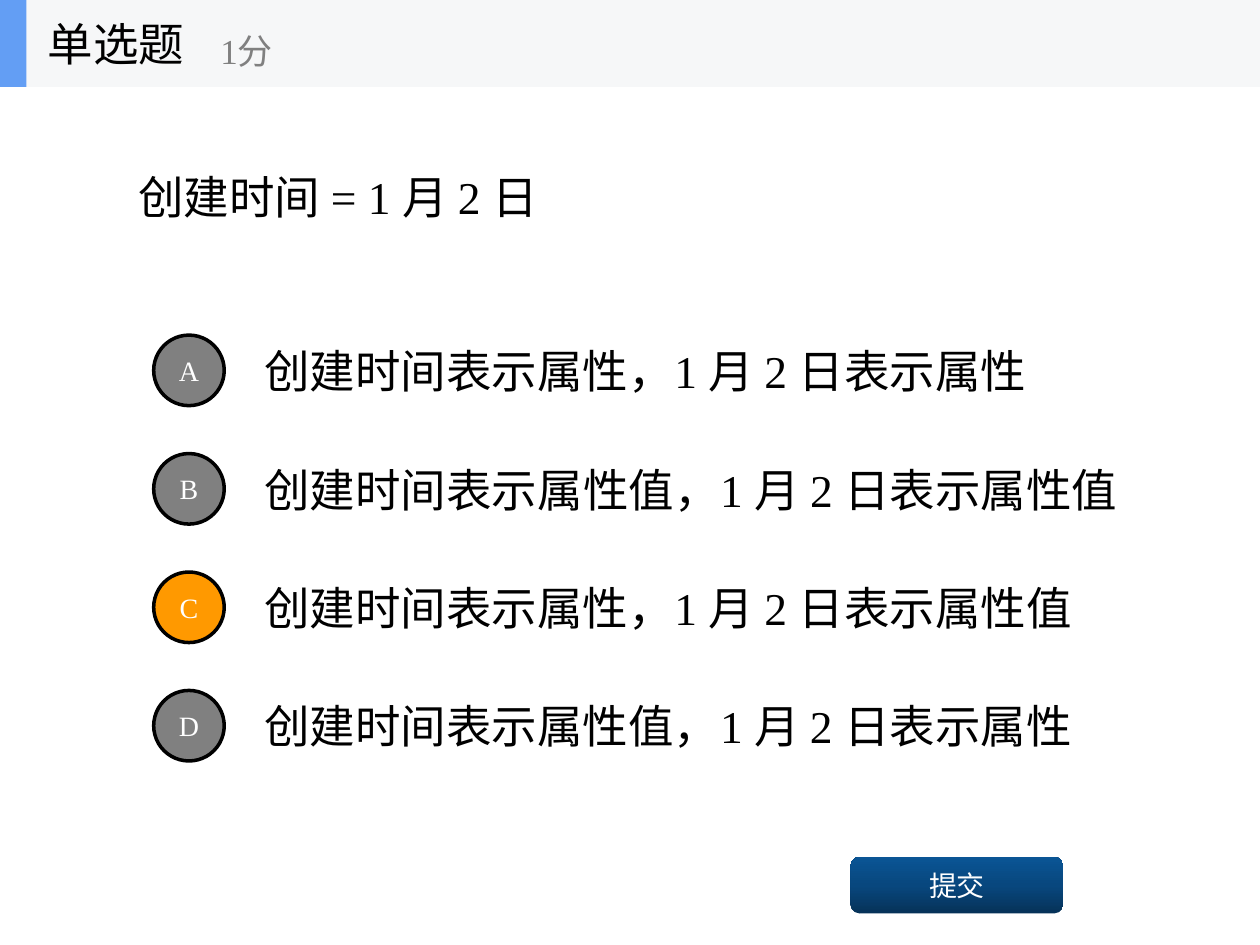
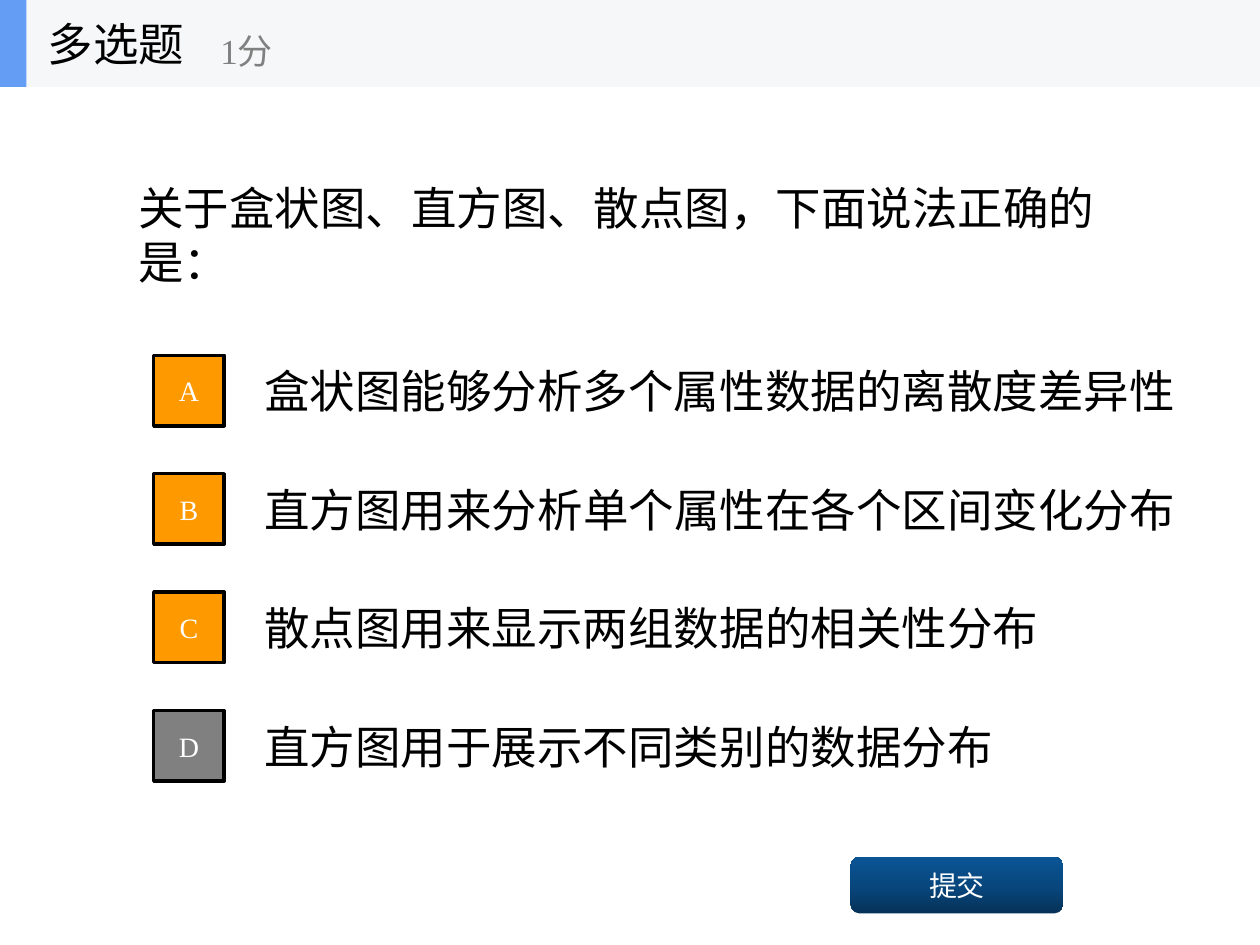
from copy import deepcopy
from dataclasses import dataclass

from pptx import Presentation
from pptx.dml.color import RGBColor
from pptx.enum.shapes import MSO_SHAPE
from pptx.enum.text import MSO_ANCHOR, MSO_AUTO_SIZE, PP_ALIGN
from pptx.oxml.ns import qn
from pptx.util import Inches, Pt


@dataclass(frozen=True)
class Theme:
    font: str = "Times New Roman"
    text: str = "000000"
    light_text: str = "FFFFFF"
    muted: str = "808080"
    correct: str = "FF9900"
    band: str = "F6F7F8"
    accent: str = "639EF4"
    button: tuple = ("063258", "08477E", "0A5595")
    body_size: int = 26
    score_size: int = 20
    label_size: int = 16


@dataclass(frozen=True)
class Question:
    kind: str
    score: str
    prompt: str
    prompt_height: float
    options: tuple
    option_widths: tuple
    options_top: float
    correct: str
    marker: MSO_SHAPE


THEME = Theme()
SLIDE_WIDTH, SLIDE_HEIGHT = 10, 7.5
HEADER_HEIGHT = 0.69
OPTION_HEIGHT = 0.7
OPTION_PITCH = 0.94
MARKER_SIZE = 0.56

QUESTIONS = (
    Question(
        kind="单选题",
        score="1分",
        prompt="创建时间 = 1 月 2 日",
        prompt_height=1.73,
        options=(
            "创建时间表示属性，1 月 2 日表示属性",
            "创建时间表示属性值，1 月 2 日表示属性值",
            "创建时间表示属性，1 月 2 日表示属性值",
            "创建时间表示属性值，1 月 2 日表示属性",
        ),
        option_widths=(7, 7.25, 7, 7),
        options_top=2.59,
        correct="C",
        marker=MSO_SHAPE.OVAL,
    ),
    Question(
        kind="多选题",
        score="1分",
        prompt="关于盒状图、直方图、散点图，下面说法正确的是：",
        prompt_height=2.34,
        options=(
            "盒状图能够分析多个属性数据的离散度差异性",
            "直方图用来分析单个属性在各个区间变化分布",
            "散点图用来显示两组数据的相关性分布",
            "直方图用于展示不同类别的数据分布",
        ),
        option_widths=(7.57, 7.49, 7, 7),
        options_top=2.75,
        correct="ABC",
        marker=MSO_SHAPE.RECTANGLE,
    ),
)


def write_text(shape, text, size, color, alignment=PP_ALIGN.LEFT):
    frame = shape.text_frame
    frame.text = text
    frame.word_wrap = True
    frame.auto_size = MSO_AUTO_SIZE.NONE
    frame.vertical_anchor = MSO_ANCHOR.MIDDLE
    paragraph = frame.paragraphs[0]
    paragraph.alignment = alignment
    paragraph.font.name = THEME.font
    paragraph.font.size = Pt(size)
    paragraph.font.color.rgb = RGBColor.from_string(color)


def add_text(slide, box, text, size=THEME.body_size, color=THEME.text):
    shape = slide.shapes.add_textbox(*map(Inches, box))
    write_text(shape, text, size, color)


def add_block(slide, kind, box, color=None):
    shape = slide.shapes.add_shape(kind, *map(Inches, box))
    shape.shadow.inherit = False
    shape.line.fill.background()
    if color:
        shape.fill.solid()
        shape.fill.fore_color.rgb = RGBColor.from_string(color)
    return shape


def add_header(slide, box, kind, score):
    left, top, width, height = box
    add_block(slide, MSO_SHAPE.RECTANGLE, box, THEME.band)
    add_block(slide, MSO_SHAPE.RECTANGLE, (left, top, 0.21, height), THEME.accent)
    title = slide.shapes.title
    title.left, title.top = Inches(left + 0.28), Inches(top)
    title.width, title.height = Inches(2.08), Inches(height)
    write_text(title, kind, THEME.body_size, THEME.text)
    slide.shapes._spTree.append(title._element)
    add_text(slide, (left + 1.65, top + 0.12, 2.5, 0.56), score,
             THEME.score_size, THEME.muted)


def add_option(slide, box, letter, text, marker, is_correct):
    left, top, width, height = box
    inset = (height - MARKER_SIZE) / 2
    add_text(slide, box, text)
    shape = add_block(slide, marker,
                      (left - 0.78, top + inset, MARKER_SIZE, MARKER_SIZE),
                      THEME.correct if is_correct else THEME.muted)
    shape.line.color.rgb = RGBColor.from_string(THEME.text)
    shape.line.width = Pt(2)
    write_text(shape, letter, THEME.label_size, THEME.light_text, PP_ALIGN.CENTER)


def add_submit_button(slide, box):
    button = add_block(slide, MSO_SHAPE.ROUNDED_RECTANGLE, box)
    button.fill.gradient()
    button.fill.gradient_angle = 90
    stop_list = button._element.spPr.find(".//" + qn("a:gsLst"))
    stop_list.insert(1, deepcopy(stop_list[0]))
    for index, (stop, color) in enumerate(zip(button.fill.gradient_stops, THEME.button)):
        stop.position = index / 2
        stop.color.rgb = RGBColor.from_string(color)
    write_text(button, "提交", THEME.label_size, THEME.light_text, PP_ALIGN.CENTER)


def add_question_slide(presentation, question):
    slide = presentation.slides.add_slide(presentation.slide_layouts[5])
    add_header(slide, (0, 0, SLIDE_WIDTH, HEADER_HEIGHT), question.kind, question.score)
    add_text(slide, (1, HEADER_HEIGHT, 8, question.prompt_height), question.prompt)
    rows = zip("ABCD", question.options, question.option_widths)
    for index, (letter, text, width) in enumerate(rows):
        top = question.options_top + index * OPTION_PITCH
        add_option(slide, (2, top, width, OPTION_HEIGHT), letter, text,
                   question.marker, letter in question.correct)
    add_submit_button(slide, (6.75, 6.8, 1.69, 0.45))


def main():
    presentation = Presentation()
    presentation.slide_width = Inches(SLIDE_WIDTH)
    presentation.slide_height = Inches(SLIDE_HEIGHT)
    for question in QUESTIONS:
        add_question_slide(presentation, question)
    presentation.save("out.pptx")


if __name__ == "__main__":
    main()
